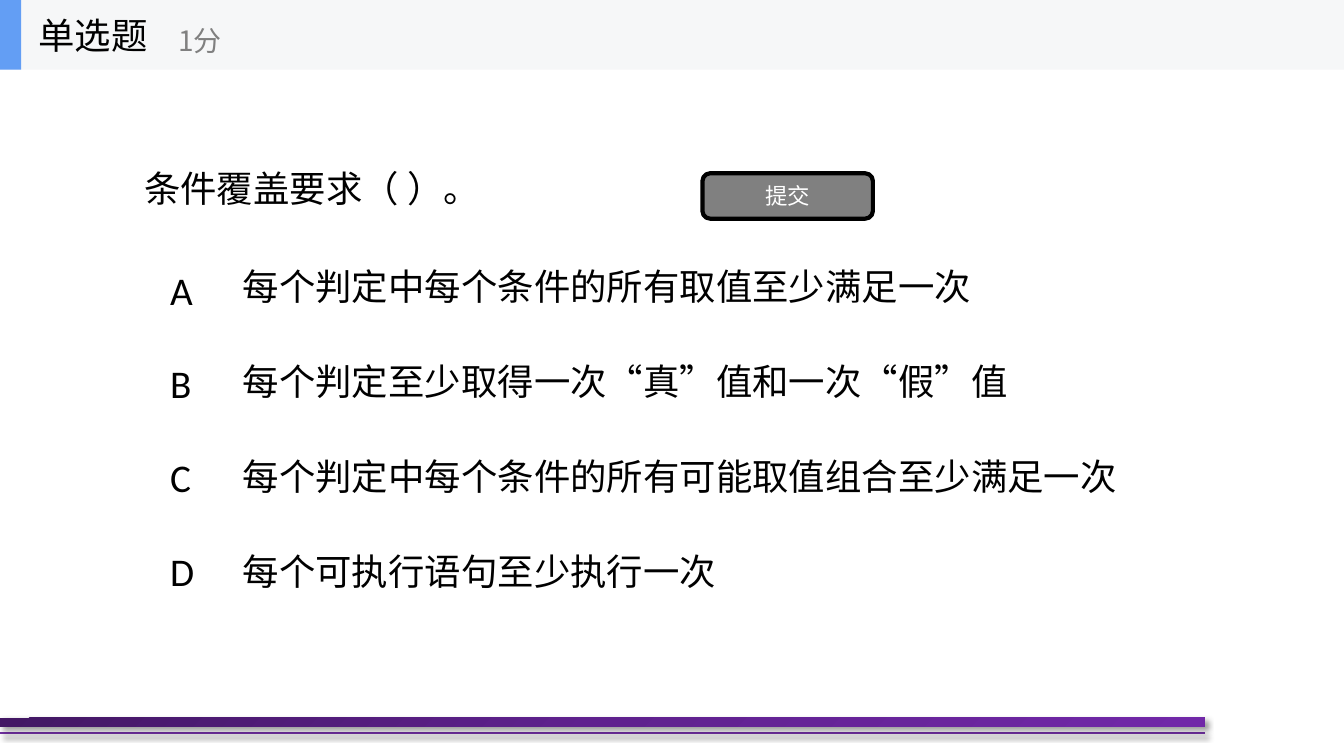
"""Build a single-choice quiz slide."""
from pptx import Presentation
from pptx.dml.color import RGBColor
from pptx.enum.lang import MSO_LANGUAGE_ID
from pptx.enum.shapes import MSO_CONNECTOR, MSO_SHAPE
from pptx.enum.text import MSO_ANCHOR, PP_ALIGN
from pptx.oxml import parse_xml
from pptx.oxml.ns import nsdecls, qn
from pptx.util import Pt

KIND = "单选题"
SCORE = "1分"
ASK = "条件覆盖要求（ ）。"
SUBMIT = "提交"
CHOICES = {
    "A": "每个判定中每个条件的所有取值至少满足一次",
    "B": "每个判定至少取得一次“真”值和一次“假”值",
    "C": "每个判定中每个条件的所有可能取值组合至少满足一次",
    "D": "每个可执行语句至少执行一次",
}


class Theme:
    """Colours, fonts and type sizes."""
    ink, gray, white = "000000", "808080", "FFFFFF"
    band, accent, rule = "F6F7F8", "639EF4", "7030A0"
    fade = ((0, "431764"), (50, "5F218E"), (100, "7128A8"))
    han, latin = "Noto Sans CJK SC", "Calibri"
    body, letter, score, button = 26, 28, 20, 16


WIDE, HIGH = 960, 540
HEAD = 49.7
FOOT = 860.4
TOP, STEP, ROW = 179.3, 67.7, 50.4
GAP = 33.3


def rgb(code):
    """Return a colour from its hex code."""
    return RGBColor.from_string(code)


def write(shape, text, size=Theme.body, color=Theme.ink, font=Theme.han,
          align=PP_ALIGN.LEFT, anchor=MSO_ANCHOR.MIDDLE, wrap=True, gap=0):
    """Put text, one paragraph a line, into a shape."""
    frame = shape.text_frame
    frame.word_wrap = wrap
    frame.vertical_anchor = anchor
    for i, line in enumerate(text.split("\n")):
        para = frame.add_paragraph() if i else frame.paragraphs[0]
        para.alignment = align
        if i and gap:
            para.space_before = Pt(gap)
        run = para.add_run()
        run.text = line
        run.font.size = Pt(size)
        run.font.name = font
        run.font.color.rgb = rgb(color)
        run.font.language_id = MSO_LANGUAGE_ID.SIMPLIFIED_CHINESE
        east = parse_xml(f'<a:ea {nsdecls("a")} typeface="{font}"/>')
        run.font._element.find(qn("a:latin")).addnext(east)


def label(box, text, **style):
    """Add a text box."""
    write(slide.shapes.add_textbox(*map(Pt, box)), text, **style)


def block(kind, box, fill, line=None):
    """Add a filled shape, outlined if a line colour is given."""
    shape = slide.shapes.add_shape(kind, *map(Pt, box))
    shape.shadow.inherit = False
    shape.fill.solid()
    shape.fill.fore_color.rgb = rgb(fill)
    if line:
        shape.line.color.rgb = rgb(line)
        shape.line.width = Pt(3)
    else:
        shape.line.fill.background()
    return shape


def shade(shape):
    """Give a shape a soft shadow to the lower right."""
    props = shape._element.spPr
    for old in props.findall(qn("a:effectLst")):
        props.remove(old)
    props.append(parse_xml(
        f'<a:effectLst {nsdecls("a")}><a:outerShdw blurRad="{Pt(4)}" '
        f'dist="{Pt(3)}" dir="2700000" algn="tl" rotWithShape="0">'
        f'<a:srgbClr val="{Theme.ink}"><a:alpha val="40000"/></a:srgbClr>'
        '</a:outerShdw></a:effectLst>'))


def footer():
    """Draw the thin rule and the fading bar."""
    rule = slide.shapes.add_connector(
        MSO_CONNECTOR.STRAIGHT, Pt(0), Pt(523.4), Pt(FOOT), Pt(523.4))
    rule.line.color.rgb = rgb(Theme.rule)
    rule.line.width = Pt(1.5)
    shade(rule)
    bar = block(MSO_SHAPE.RECTANGLE, (0, 512.6, FOOT, 6.5), Theme.rule)
    stops = "".join(f'<a:gs pos="{pos * 1000}"><a:srgbClr val="{code}"/></a:gs>'
                    for pos, code in Theme.fade)
    props = bar._element.spPr
    props.replace(props.find(qn("a:solidFill")), parse_xml(
        f'<a:gradFill {nsdecls("a")} rotWithShape="1"><a:gsLst>{stops}</a:gsLst>'
        '<a:lin ang="2700000" scaled="0"/></a:gradFill>'))
    shade(bar)


deck = Presentation()
deck.slide_width, deck.slide_height = Pt(WIDE), Pt(HIGH)
slide = deck.slides.add_slide(deck.slide_layouts[6])

footer()
label((95.8, HEAD, 768, 168.5), ASK)
for i, choice in enumerate(CHOICES.values()):
    label((166.3, TOP + i * STEP, 672, ROW), choice)
button = block(MSO_SHAPE.ROUNDED_RECTANGLE, (501.8, 123.8, 121.7, 32.4),
               Theme.gray, line=Theme.ink)
write(button, SUBMIT, size=Theme.button, color=Theme.white,
      align=PP_ALIGN.CENTER)
block(MSO_SHAPE.RECTANGLE, (0, 0, WIDE, HEAD), Theme.band)
block(MSO_SHAPE.RECTANGLE, (0, 0, 15.1, HEAD), Theme.accent)
label((20.2, 0, 149.8, HEAD), KIND)
label((120.2, 8.6, 180, 40.3), SCORE, size=Theme.score, color=Theme.gray)
label((114.5, 186.5, 31.7, 244.8), "\n".join(CHOICES), size=Theme.letter,
      font=Theme.latin, anchor=MSO_ANCHOR.TOP, wrap=False, gap=GAP)

deck.save("out.pptx")
